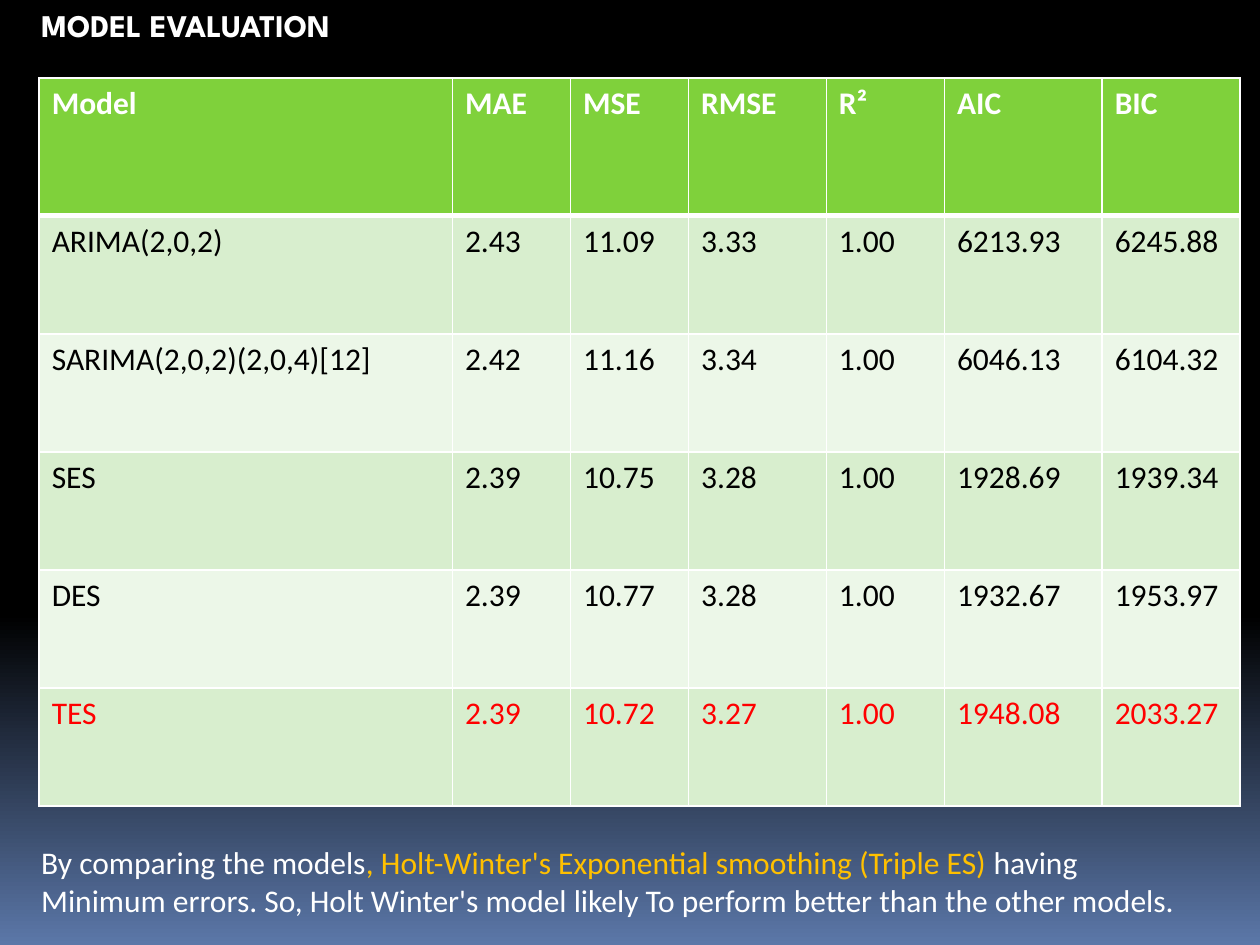
from lxml import etree
from pptx import Presentation
from pptx.dml.color import RGBColor
from pptx.enum.text import MSO_ANCHOR, MSO_AUTO_SIZE, PP_ALIGN
from pptx.oxml.ns import qn
from pptx.util import Cm, Pt

TOP = MSO_ANCHOR.TOP
GROW = MSO_AUTO_SIZE.SHAPE_TO_FIT_TEXT
LEFT = PP_ALIGN.LEFT

WHITE, BLACK, RED, GOLD = "FFFFFF", "000000", "FF0000", "FFC000"
GREEN, BANDS, BLUE = "7FD13B", ("D8EECE", "ECF7E8"), "5B77A8"

BODY = {"name": "Calibri", "size": Pt(18), "bold": False}
HEAD = {**BODY, "bold": True}
TITLE = {**HEAD, "name": "League Spartan"}
FRAME = {"word_wrap": True, "auto_size": GROW, "vertical_anchor": TOP}

WIDTHS = (8.33, 2.38, 2.38, 2.78, 2.38, 3.18, 2.78)
HEIGHTS = (2.78,) + (2.38,) * 5
ROWS = (
    ("Model", "MAE", "MSE", "RMSE", "R²", "AIC", "BIC"),
    ("ARIMA(2,0,2)", "2.43", "11.09", "3.33", "1.00", "6213.93", "6245.88"),
    ("SARIMA(2,0,2)(2,0,4)[12]", "2.42", "11.16", "3.34", "1.00", "6046.13", "6104.32"),
    ("SES", "2.39", "10.75", "3.28", "1.00", "1928.69", "1939.34"),
    ("DES", "2.39", "10.77", "3.28", "1.00", "1932.67", "1953.97"),
    ("TES", "2.39", "10.72", "3.27", "1.00", "1948.08", "2033.27"),
)
NOTE = (
    ("By comparing the models", WHITE),
    (", Holt-Winter's Exponential smoothing (Triple ES) ", GOLD),
    ("having Minimum errors. So, Holt Winter's model likely To perform "
     "better than the other models.", WHITE),
)


def tint(code):
    """Return the colour for a hex string."""
    return RGBColor.from_string(code)


def apply(item, style):
    """Set each attribute in a dict of format values."""
    for key, value in style.items():
        setattr(item, key, value)


def write(para, text, style, code):
    """Add a run of styled text to a paragraph."""
    run = para.add_run()
    run.text = text
    apply(run.font, style)
    run.font.color.rgb = tint(code)


def edge(cell, side, width):
    """Draw one white border of a cell."""
    line = etree.SubElement(cell._tc.get_or_add_tcPr(), qn(f"a:ln{side}"), w=str(Pt(width)))
    fill = etree.SubElement(line, qn("a:solidFill"))
    etree.SubElement(fill, qn("a:srgbClr"), val=WHITE)


def paint(slide):
    """Fade the background from black to blue at the foot."""
    fill = slide.background.fill
    fill.gradient()
    fill.gradient_angle = 270
    for stop, place, code in zip(fill.gradient_stops, (0.65, 1), (BLACK, BLUE)):
        stop.position = place
        stop.color.rgb = tint(code)


def add_title(slide, text):
    """Place the slide title at the top left."""
    title = slide.shapes.title
    apply(title, {"left": Cm(0.58), "top": Cm(0), "width": Cm(9), "height": Cm(1.02)})
    apply(title.text_frame, FRAME)
    para = title.text_frame.paragraphs[0]
    para.alignment = LEFT
    write(para, text, TITLE, WHITE)


def add_grid(slide):
    """Build the table of model scores."""
    box = Cm(0.79), Cm(1.57), Cm(sum(WIDTHS)), Cm(sum(HEIGHTS))
    table = slide.shapes.add_table(len(ROWS), len(WIDTHS), *box).table
    for col, width in zip(table.columns, WIDTHS):
        col.width = Cm(width)
    for num, (row, height) in enumerate(zip(table.rows, HEIGHTS)):
        row.height = Cm(height)
        style, code, fill = BODY, BLACK, BANDS[(num + 1) % 2]
        if num == 0:
            style, code, fill = HEAD, WHITE, GREEN
        elif ROWS[num][0] == "TES":
            code = RED
        for cell, text in zip(row.cells, ROWS[num]):
            for side in "LRTB":
                thick = (num, side) in ((0, "B"), (1, "T"))
                edge(cell, side, 3 if thick else 1)
            cell.fill.solid()
            cell.fill.fore_color.rgb = tint(fill)
            write(cell.text_frame.paragraphs[0], text, style, code)


def add_note(slide):
    """Write the closing remark under the table."""
    box = slide.shapes.add_textbox(Cm(0.58), Cm(16.87), Cm(23.83), Cm(1.8))
    apply(box.text_frame, FRAME)
    for text, code in NOTE:
        write(box.text_frame.paragraphs[0], text, BODY, code)


def main():
    """Build and save the slide."""
    deck = Presentation()
    apply(deck, {"slide_width": Cm(25.4), "slide_height": Cm(19.05)})
    slide = deck.slides.add_slide(deck.slide_layouts.get_by_name("Title Only"))
    paint(slide)
    add_grid(slide)
    add_note(slide)
    add_title(slide, "MODEL EVALUATION")
    deck.save("out.pptx")


if __name__ == "__main__":
    main()
